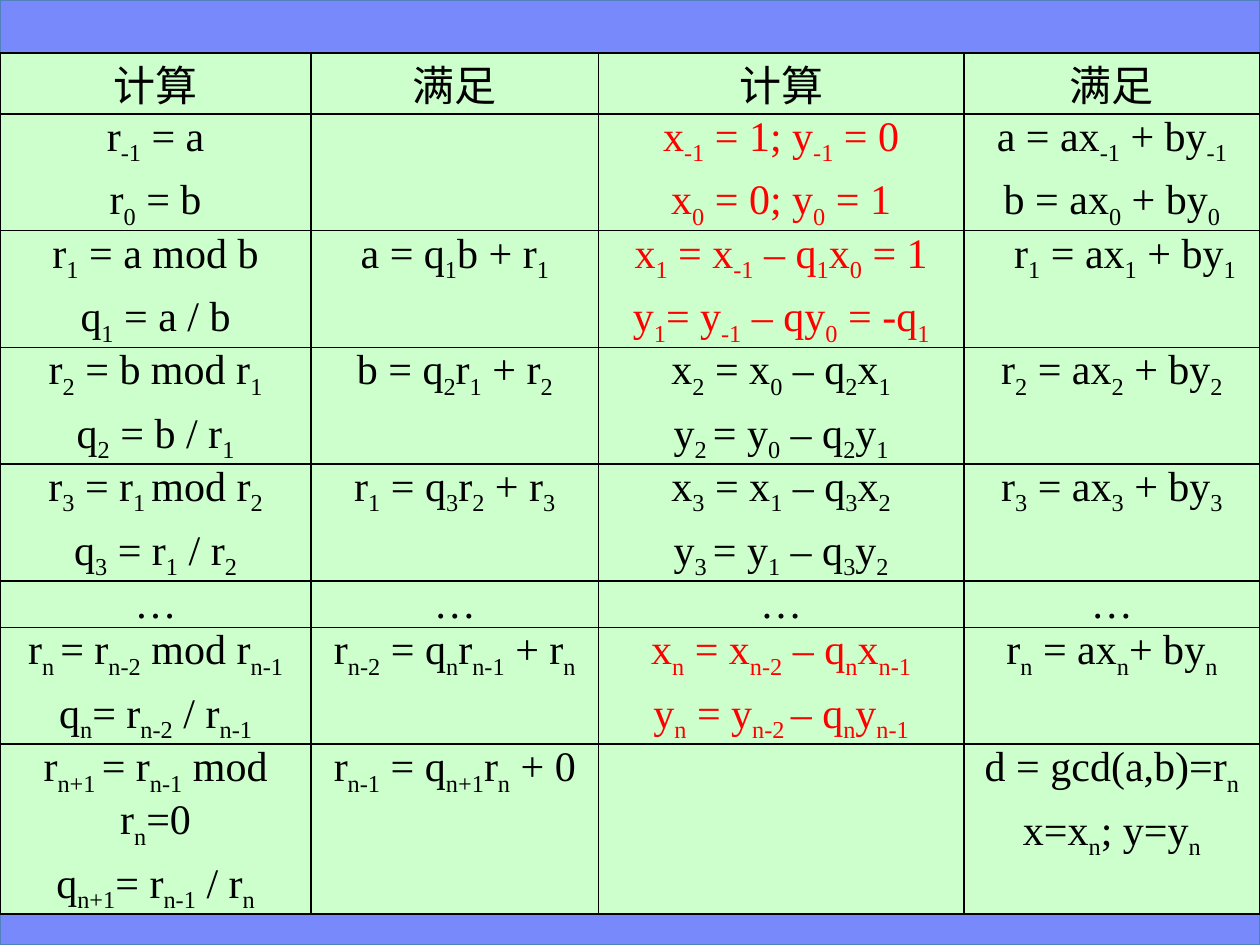
from lxml import etree
from pptx import Presentation
from pptx.dml.color import RGBColor
from pptx.enum.shapes import MSO_SHAPE
from pptx.enum.text import PP_ALIGN
from pptx.oxml.ns import qn
from pptx.util import Inches, Pt

RECT = MSO_SHAPE.RECTANGLE
CENTER, LEFT = PP_ALIGN.CENTER, PP_ALIGN.LEFT
FONT = "Times New Roman"
COLORS = {
    "bar": "7889FB",
    "edge": "4F81BD",
    "cell": "CCFFCC",
    "ink": "000000",
    "red": "FF0000",
}
COLS = [2.47, 2.28, 2.9, 2.35]
SHORT, TALL = 0.37, 0.9
DOTS = ["…"]

# Each cell is a list of paragraphs; square brackets mark subscripts.
ROWS = [
    (SHORT, [["计算"], ["满足"], ["计算"], ["满足"]]),
    (TALL, [["r[-1] = a", "r[0] = b"],
            [],
            ["x[-1] = 1; y[-1] = 0", "x[0] = 0; y[0] = 1"],
            ["a = ax[-1] + by[-1]", "b = ax[0] + by[0]"]]),
    (TALL, [["r[1] = a mod b", "q[1] = a / b"],
            ["a = q[1]b + r[1]"],
            ["x[1] = x[-1] – q[1]x[0] = 1", "y[1]= y[-1] – qy[0] = -q[1]"],
            ["r[1] = ax[1] + by[1]"]]),
    (TALL, [["r[2] = b mod r[1]", "q[2] = b / r[1]"],
            ["b = q[2]r[1] + r[2]"],
            ["x[2] = x[0] – q[2]x[1]", "y[2 ]= y[0] – q[2]y[1]"],
            ["r[2] = ax[2] + by[2]"]]),
    (TALL, [["r[3] = r[1 ]mod r[2]", "q[3] = r[1] / r[2]"],
            ["r[1] = q[3]r[2] + r[3]"],
            ["x[3] = x[1] – q[3]x[2]", "y[3 ]= y[1] – q[3]y[2]"],
            ["r[3] = ax[3] + by[3]"]]),
    (SHORT, [DOTS] * len(COLS)),
    (TALL, [["r[n ]= r[n-2] mod r[n-1]", "q[n]= r[n-2] / r[n-1]"],
            ["r[n-2] = q[n]r[n-1] + r[n]"],
            ["x[n] = x[n-2] – q[n]x[n-1]", "y[n] = y[n-2 ]– q[n]y[n-1]"],
            ["r[n] = ax[n]+ by[n]"]]),
    (TALL, [["r[n+1 ]= r[n-1] mod r[n]=0", "q[n+1]= r[n-1] / r[n]"],
            ["r[n-1] = q[n+1]r[n] + 0"],
            [],
            ["d = gcd(a,b)=r[n]", "x=x[n]; y=y[n]"]]),
]
RED_CELLS = {(1, 2), (2, 2), (6, 2)}
LEFT_CELL = (2, 3)


def rgb(name):
    return RGBColor.from_string(COLORS[name])


def add_bar(slide, top, height):
    bar = slide.shapes.add_shape(RECT, 0, Inches(top), Inches(10), Inches(height))
    bar.shadow.inherit = False
    bar.fill.solid()
    bar.fill.fore_color.rgb = rgb("bar")
    bar.line.color.rgb = rgb("edge")
    bar.line.width = Pt(0.75)


def add_runs(para, text, color):
    """Add the formula text, lowering each part held in brackets."""
    for i, part in enumerate(text.replace("]", "[").split("[")):
        if not part:
            continue
        run = para.add_run()
        run.text = part
        run.font.name = FONT
        run.font.size = Pt(24)
        run.font.color.rgb = rgb(color)
        if i % 2:
            run._r.get_or_add_rPr().set("baseline", "-25000")


def add_borders(cell):
    props = cell._tc.get_or_add_tcPr()
    for side in "LRTB":
        line = etree.SubElement(props, qn(f"a:ln{side}"), w=str(Pt(1)))
        fill = etree.SubElement(line, qn("a:solidFill"))
        etree.SubElement(fill, qn("a:srgbClr"), val=COLORS["ink"])


def fill_cell(cell, lines, color, align):
    cell.margin_left = cell.margin_right = Inches(0.07)
    cell.margin_top = cell.margin_bottom = 0
    add_borders(cell)
    cell.fill.solid()
    cell.fill.fore_color.rgb = rgb("cell")
    frame = cell.text_frame
    for i, text in enumerate(lines):
        para = frame.add_paragraph() if i else frame.paragraphs[0]
        para.alignment = align
        para.space_before = Pt(3 if i else 0)
        para.space_after = Pt(3)
        if align == LEFT:
            para._p.get_or_add_pPr().set("marL", str(Inches(0.33)))
        add_runs(para, text, color)


def add_grid(slide):
    height = sum(size for size, _ in ROWS)
    grid = slide.shapes.add_table(
        len(ROWS), len(COLS), 0, Inches(0.42), Inches(sum(COLS)), Inches(height)
    ).table
    grid.first_row = grid.horz_banding = False
    for col, width in zip(grid.columns, COLS):
        col.width = Inches(width)
    for r, (size, cells) in enumerate(ROWS):
        grid.rows[r].height = Inches(size)
        for c, lines in enumerate(cells):
            color = "red" if (r, c) in RED_CELLS else "ink"
            align = LEFT if (r, c) == LEFT_CELL else CENTER
            fill_cell(grid.cell(r, c), lines, color, align)


def main():
    deck = Presentation()
    deck.slide_width, deck.slide_height = Inches(10), Inches(7.5)
    slide = deck.slides.add_slide(deck.slide_layouts[6])
    add_bar(slide, 0, 0.42)
    add_bar(slide, 6.83, 0.67)
    add_grid(slide)
    deck.save("out.pptx")


if __name__ == "__main__":
    main()
